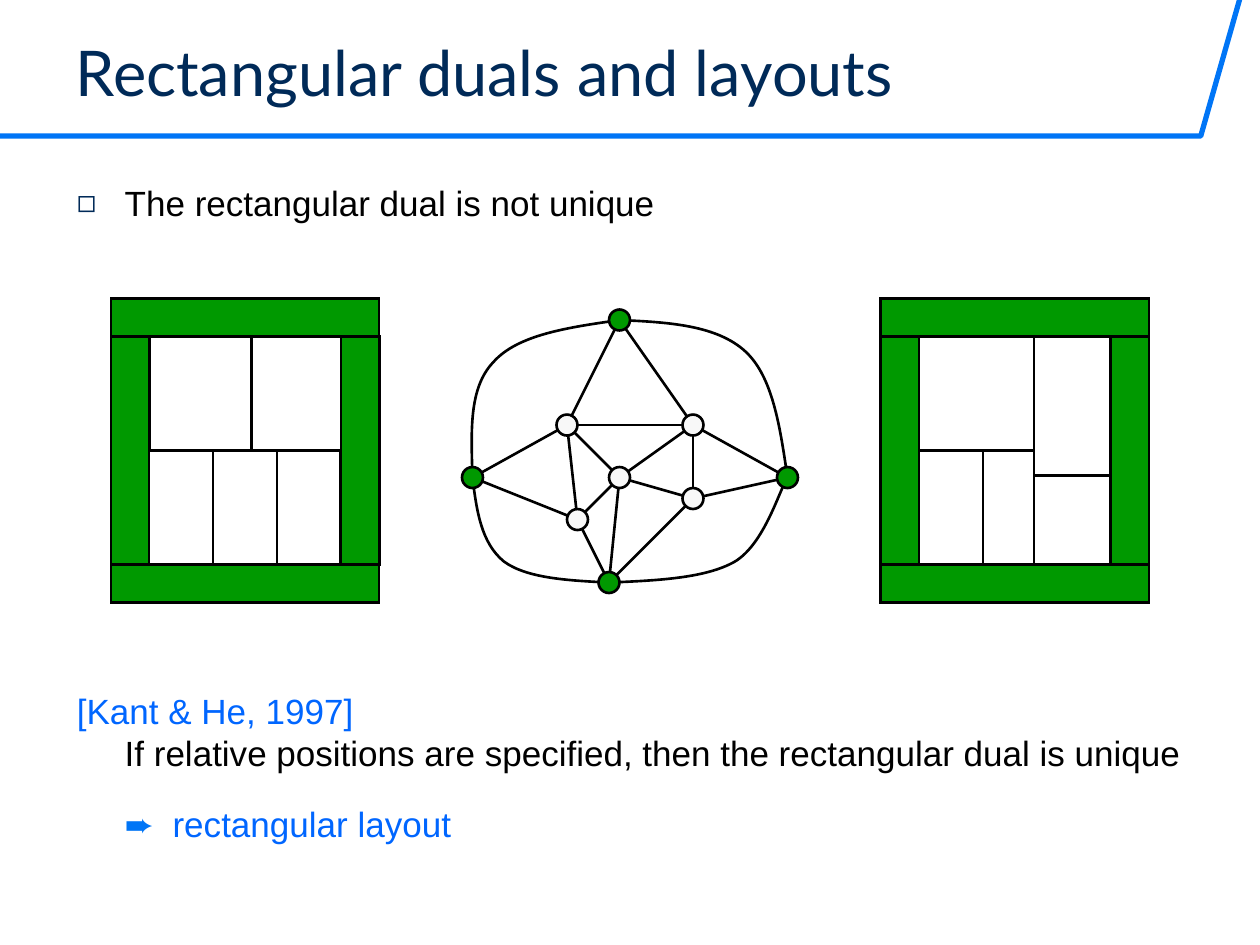
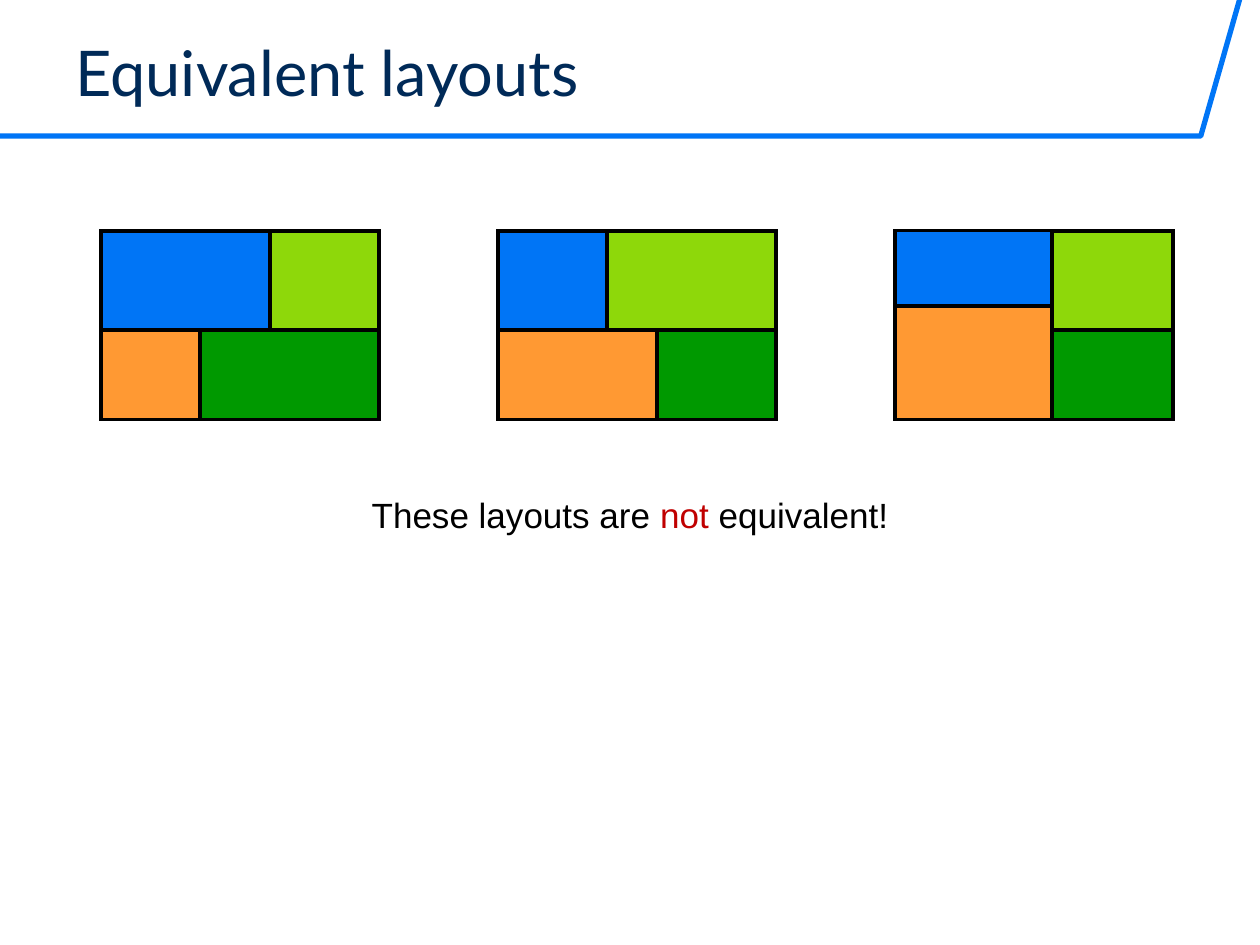
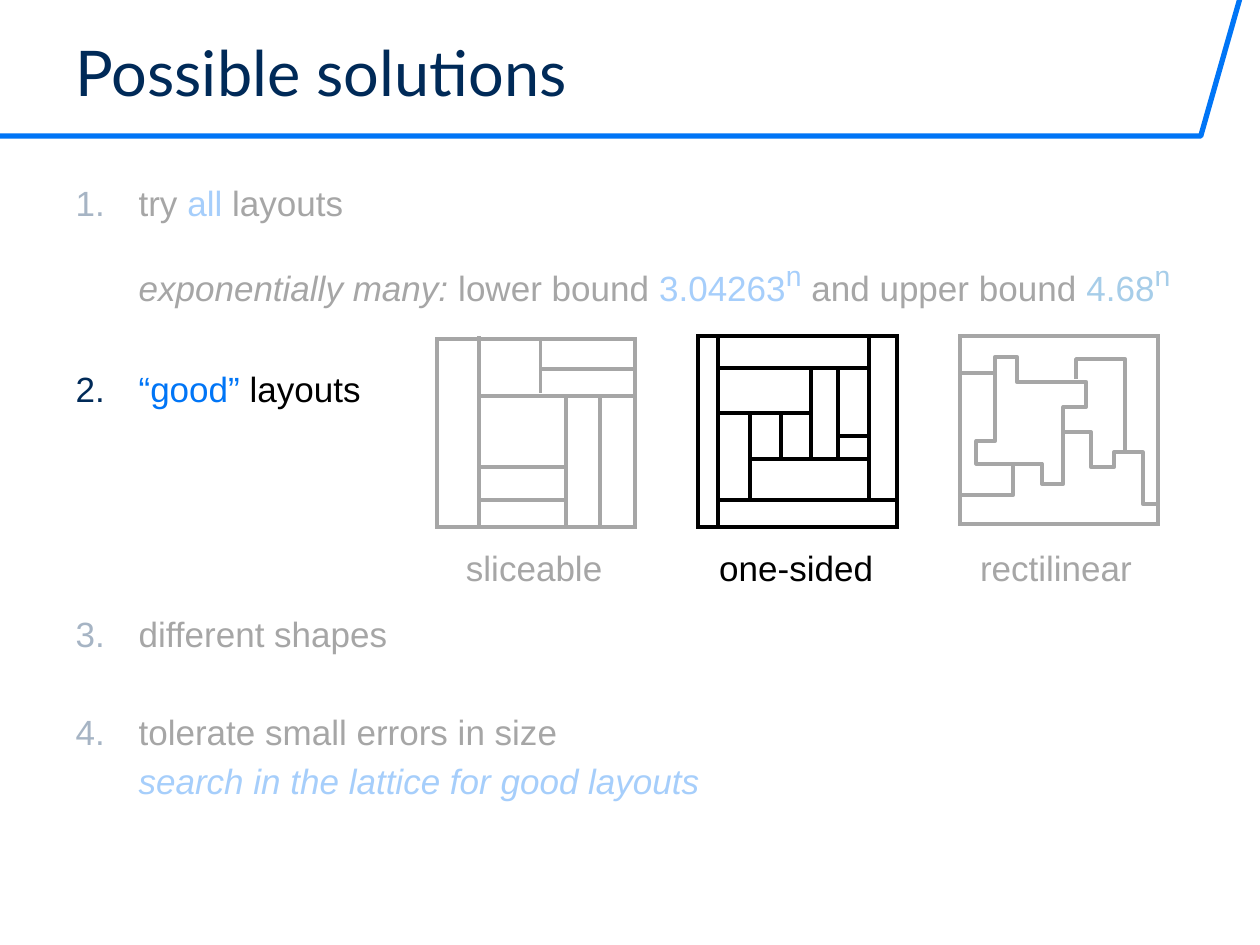
import pptx
import pptx.dml.color
import pptx.enum.shapes
import pptx.enum.text
import pptx.oxml.ns
import pptx.util
from lxml import etree

Inches = pptx.util.Inches
Pt = pptx.util.Pt
qn = pptx.oxml.ns.qn
SHAPE = pptx.enum.shapes.MSO_SHAPE

COLORS = {
    "navy": "002A58", "blue": "0075F6", "link": "0066FF", "sea": "0070C0",
    "black": "000000", "white": "FFFFFF", "pale": "F8F8F8", "red": "C00000",
    "green": "009900", "lime": "8ED80A", "orange": "FF9933",
}
TITLE_FONT, BODY_FONT = "Lato", "Arial"


def rgb(color):
    """Return the named colour."""
    return pptx.dml.color.RGBColor.from_string(COLORS[color])


def style_line(item, color, width):
    """Set colour and width of an outline."""
    item.line.color.rgb = rgb(color)
    item.line.width = Pt(width)


def add_box(shapes, box, fill=None, width=2.25, kind=SHAPE.RECTANGLE,
            line="black", opacity=None):
    """Draw a sharp-cornered preset shape in a box given in inches."""
    shape = shapes.add_shape(kind, *map(Inches, box))
    shape.shadow.inherit = False
    if fill:
        shape.fill.solid()
        shape.fill.fore_color.rgb = rgb(fill)
    else:
        shape.fill.background()
    if opacity:
        tint = shape.element.spPr.find(qn("a:solidFill") + "/" + qn("a:srgbClr"))
        etree.SubElement(tint, qn("a:alpha")).set("val", str(opacity * 1000))
    style_line(shape, line, width)
    outline = shape.element.spPr.find(qn("a:ln"))
    etree.SubElement(outline, qn("a:miter")).set("lim", "800000")
    return shape


def add_segment(shapes, start, end, width=2.25):
    """Draw a straight black line between two points in inches."""
    segment = shapes.add_connector(pptx.enum.shapes.MSO_CONNECTOR.STRAIGHT,
                                   *map(Inches, (*start, *end)))
    style_line(segment, "black", width)
    etree.SubElement(segment.element.spPr, qn("a:effectLst"))


def add_outline(shapes, points, width=2.25, color="black", close=False):
    """Draw an unfilled outline through points in inches."""
    places = [(Inches(x), Inches(y)) for x, y in points]
    builder = shapes.build_freeform(*places[0])
    builder.add_line_segments(places[1:], close=close)
    outline = builder.convert_to_shape()
    outline.shadow.inherit = False
    outline.fill.background()
    style_line(outline, color, width)
    return outline


def add_curve(shapes, points, width):
    """Draw cubic curves: a start, then two controls and an end for each."""
    curve = add_outline(shapes, points, width)
    steps = list(curve.element.iter(qn("a:lnTo")))
    for first in range(0, len(steps), 3):
        cubic = etree.Element(qn("a:cubicBezTo"))
        steps[first].addprevious(cubic)
        for step in steps[first:first + 3]:
            cubic.append(step[0])
            step.getparent().remove(step)


def offset(points, left, top, unit=1):
    """Scale points and move them to a corner."""
    return [(left + x * unit, top + y * unit) for x, y in points]


def add_run(paragraph, text, color="black", size=20, font=BODY_FONT,
            italic=False, raised=False):
    """Add one formatted run, or a line break of the same size."""
    if text == "\n":
        paragraph.add_line_break()
        etree.SubElement(paragraph._p[-1], qn("a:rPr")).set("sz", str(size * 100))
        return
    run = paragraph.add_run()
    run.text = text
    run.font.size = Pt(size)
    run.font.name = font
    run.font.italic = italic
    run.font.color.rgb = rgb(color)
    if raised:
        run.font._element.set("baseline", "30000")


def add_paragraph(frame, runs, before=0, margin=0, hang=0, bullet=None, start=None):
    """Add a paragraph with its indent, its bullet or number, and its runs."""
    first = frame.paragraphs[0]
    paragraph = frame.add_paragraph() if first.runs else first
    properties = paragraph._p.get_or_add_pPr()
    properties.set("marL", str(Inches(margin)))
    properties.set("indent", str(-Inches(hang)))
    if bullet or start:
        tint = etree.SubElement(properties, qn("a:buClr"))
        etree.SubElement(tint, qn("a:srgbClr")).set("val", COLORS["navy"])
    if bullet:
        etree.SubElement(properties, qn("a:buSzPct")).set("val", "90000")
        etree.SubElement(properties, qn("a:buChar")).set("char", bullet)
    elif start:
        number = etree.SubElement(properties, qn("a:buAutoNum"))
        number.set("type", "arabicPeriod")
        number.set("startAt", str(start))
    else:
        etree.SubElement(properties, qn("a:buNone"))
    paragraph.space_before = Pt(before)
    for text, *look in runs:
        options = look.pop() if look and isinstance(look[-1], dict) else {}
        add_run(paragraph, text, *look, **options)
    return paragraph


def place(item, box):
    """Move an item to a box given in inches."""
    item.left, item.top, item.width, item.height = map(Inches, box)


def add_title_slide(deck, layout, title, body_box):
    """Add a slide with its title and return it with its body text frame."""
    slide = deck.slides.add_slide(layout)
    heading, body = slide.shapes.title, slide.placeholders[1]
    place(heading, (0.5, 0.21, 9.28, 0.71))
    heading.text_frame.vertical_anchor = pptx.enum.text.MSO_ANCHOR.BOTTOM
    heading.text_frame.paragraphs[0].alignment = pptx.enum.text.PP_ALIGN.LEFT
    add_run(heading.text_frame.paragraphs[0], title, "navy", 36, TITLE_FONT)
    place(body, body_box)
    for frame in (heading.text_frame, body.text_frame):
        frame.word_wrap = True
        frame.auto_size = pptx.enum.text.MSO_AUTO_SIZE.NONE
    return slide, body.text_frame


def add_band(layout, slide):
    """Put the blue title band on the layout, behind its placeholders."""
    band = add_outline(slide.shapes, [(0, 1.08), (9.53, 1.08), (9.84, -0.01)], 3, "blue")
    layout.shapes.element.insert(2, band.element)


def add_tiling(slide, box, columns, rows, tiles, width):
    """Fill a box with a group of tiles (x, y, width, height, fill) on a grid."""
    left, top, across, down = box
    step_x, step_y = across / columns, down / rows
    shapes = slide.shapes.add_group_shape().shapes
    for x, y, w, h, fill in tiles:
        tile = (left + x * step_x, top + y * step_y, w * step_x, h * step_y)
        add_box(shapes, tile, fill, width)


def add_framed_dual(slide, left, top, rooms):
    """Draw a rectangular dual: white rooms inside a green frame."""
    frame = [(0, 0, 21, 3), (0, 3, 3, 18), (18, 3, 3, 18), (0, 21, 21, 3)]
    tiles = [(x + 3, y + 3, w, h, "white") for x, y, w, h in rooms]
    tiles += [(*side, "green") for side in frame]
    add_tiling(slide, (left, top, 2.13, 2.41), 21, 24, tiles, 1.5)


def add_graph(slide, left, top):
    """Draw the dual graph on a grid of twelfths of an inch."""
    unit = 1 / 12
    outer = {"north": (14, 0), "east": (30, 15), "south": (13, 25), "west": (0, 15)}
    inner = {"a": (9, 10), "b": (21, 10), "c": (14, 15), "d": (21, 17), "e": (10, 19)}
    nodes = {**outer, **inner}
    edges = ("south-e south-c a-west west-e a-north north-b d-south d-east east-b "
             "c-e e-a c-a b-a b-c c-d d-b")
    arcs = [
        [(13, 25), (17.6, 24.8), (22.2, 24.6), (25, 23), (27.8, 21.3), (29.2, 16.3), (30, 15)],
        [(30, 15), (29.3, 10.2), (28.6, 5.4), (26, 3), (23.3, 0.5), (18.7, 0.2), (14, 0)],
        [(14, 0), (9.1, 0.7), (4.3, 1.4), (2, 4), (-0.4, 6.5), (-0.1, 10.7), (0, 15)],
        [(0, 15), (0.4, 18.1), (0.8, 21.2), (3, 23), (5.2, 24.6), (9.1, 24.8), (13, 25)],
    ]
    shapes = slide.shapes.add_group_shape().shapes
    for edge in edges.split():
        ends = [nodes[name] for name in edge.split("-")]
        add_segment(shapes, *offset(ends, left, top, unit), 1.5)
    for arc in arcs:
        add_curve(shapes, offset(arc, left, top, unit), 1.5)
    for name, (x, y) in nodes.items():
        dot = (left + (x - 1) * unit, top + (y - 1) * unit, 2 * unit, 2 * unit)
        add_box(shapes, dot, "green" if name in outer else "pale", 1.5, SHAPE.OVAL)


def add_label(shapes, text, left, width):
    """Write the name under a layout drawing."""
    label = shapes.add_textbox(*map(Inches, (left, 4.29, width, 0.44)))
    label.text_frame.word_wrap = True
    add_run(label.text_frame.paragraphs[0], text)


def add_sliceable(slide, left, top):
    """Draw the sliceable layout."""
    cuts = [
        [(0.33, -0.02), (0.33, 1.49)], [(0.33, 0.45), (1.58, 0.45)],
        [(1.02, 0.45), (1.02, 1.49)], [(0.33, 1.02), (1.02, 1.02)],
        [(1.29, 0.45), (1.29, 1.49)], [(0.82, 0), (0.82, 0.43)],
        [(0.82, 0.24), (1.58, 0.24)], [(0.33, 1.28), (1.02, 1.28)],
    ]
    shapes = slide.shapes.add_group_shape().shapes
    add_box(shapes, (left, top, 1.57, 1.49))
    for cut in cuts:
        add_segment(shapes, *offset(cut, left, top))
    add_label(shapes, "sliceable", left + 0.13, 1.33)


def add_one_sided(slide, left, top):
    """Draw the one-sided layout."""
    rooms = [
        (0, 0, 1.58, 1.51), (0, 0, 0.16, 1.51), (0.16, 1.3, 1.42, 0.21),
        (0.16, 0, 1.2, 0.25), (1.36, 0, 0.22, 1.3), (0.41, 0.97, 0.95, 0.33),
        (0.41, 0.61, 0.49, 0.36), (0.16, 0.61, 0.25, 0.69), (0.16, 0.25, 0.74, 0.36),
        (0.41, 0.61, 0.25, 0.36), (0.9, 0.25, 0.21, 0.72), (1.11, 0.25, 0.25, 0.54),
    ]
    shapes = slide.shapes.add_group_shape().shapes
    for x, y, width, height in rooms:
        add_box(shapes, (left + x, top + y, width, height))
    add_label(shapes, "one-sided", left + 0.07, 1.43)


def add_rectilinear(slide, left, top):
    """Draw the rectilinear layout."""
    core = [(0.28, 0.83), (0.28, 0.16), (0.45, 0.16), (0.45, 0.36), (1, 0.36), (1, 0.56),
            (0.82, 0.56), (0.82, 1.17), (0.65, 1.17), (0.65, 1.01), (0.13, 1.01), (0.13, 0.83)]
    walls = [
        [(0.42, 1), (0.42, 1.26), (0, 1.26)],
        [(0.92, 0.34), (0.92, 0.18), (1.31, 0.18), (1.31, 0.91)],
        [(0.82, 0.76), (1.04, 0.76), (1.04, 1.04), (1.22, 1.04), (1.22, 0.92),
         (1.45, 0.92), (1.45, 1.33), (1.57, 1.33)],
    ]
    shapes = slide.shapes.add_group_shape().shapes
    add_box(shapes, (left, top, 1.57, 1.49))
    add_outline(shapes, offset(core, left, top), close=True)
    add_segment(shapes, *offset([(0, 0.29), (0.29, 0.29)], left, top))
    for wall in walls:
        add_outline(shapes, offset(wall, left, top))
    add_label(shapes, "rectilinear", left + 0.06, 1.43)


def build_duals(deck, layout):
    """Build the slide on duals and return it."""
    slide, body = add_title_slide(deck, layout, "Rectangular duals and layouts",
                                  (0.51, 1.39, 8.98, 5.51))
    add_paragraph(body, [("The rectangular dual is not unique",)],
                  margin=0.38, hang=0.38, bullet="◻")
    add_paragraph(body, [("[Kant & He, 1997]", "link"), ("\n",),
                         ("If relative positions are specified, "
                          "then the rectangular dual is unique",)],
                  before=266, margin=0.38, hang=0.38)
    add_paragraph(body, [("➨", "blue"), ("\trectangular layout", "link")],
                  before=17, margin=0.76, hang=0.38)
    add_framed_dual(slide, 0.88, 2.37, [(0, 9, 5, 9), (5, 9, 5, 9), (10, 9, 5, 9),
                                        (8, 0, 7, 9), (0, 0, 8, 9)])
    add_framed_dual(slide, 6.99, 2.37, [(0, 9, 5, 9), (5, 9, 4, 9), (9, 11, 6, 7),
                                        (9, 0, 6, 11), (0, 0, 9, 9)])
    add_graph(slide, 3.75, 2.54)
    return slide


def build_equivalent(deck, layout):
    """Build the slide that compares three layouts."""
    slide, body = add_title_slide(deck, layout, "Equivalent layouts", (0.51, 3.87, 8.98, 2.87))
    verdict = add_paragraph(body, [("These layouts are ",), ("not", "red"), (" equivalent!",)])
    verdict.alignment = pptx.enum.text.PP_ALIGN.CENTER
    splits = [(17, 10, 10, 10), (11, 16, 10, 10), (15.8, 15.8, 7.6, 10)]
    for index, (upper, lower, west, east) in enumerate(splits):
        tiles = [
            (0, 0, 28, 19, None),
            (0, 0, upper, west, "blue"), (upper, 0, 28 - upper, east, "lime"),
            (0, west, lower, 19 - west, "orange"),
            (lower, east, 28 - lower, 19 - east, "green"),
        ]
        add_tiling(slide, (0.8 + 3.15 * index, 1.83, 2.21, 1.5), 28, 19, tiles, 2.25)


def build_solutions(deck, layout):
    """Build the slide that lists solutions and veils all but one."""
    slide, body = add_title_slide(deck, layout, "Possible solutions", (0.5, 1.39, 8.92, 5.51))
    raised = {"size": 28, "raised": True}
    italic = {"italic": True}
    items = [
        (0, 1, [("try ",), ("all", "blue"), (" layouts",)]),
        (16.5, None, [("exponentially many:", italic), (" lower bound ",), ("3.04263", "blue"),
                      ("n", "blue", raised), (" and upper bound ",), ("4.68", "sea"),
                      ("n", "sea", raised)]),
        (32, 2, [("“good” ", "blue"), ("layouts",)]),
        (116, 3, [("different shapes",)]),
        (32, 3, [("tolerate small errors in size",)]),
        (4.4, None, [("search in the lattice for good layouts", "blue", italic)]),
    ]
    for before, start, runs in items:
        add_paragraph(body, runs, before, 0.5, 0.5 if start else 0, start=start)
    add_sliceable(slide, 3.47, 2.69)
    add_rectilinear(slide, 7.62, 2.67)
    add_one_sided(slide, 5.54, 2.67)
    veils = [(0.28, 4.72, 9.45, 1.98), (0.16, 1.37, 9.45, 1.13),
             (3.26, 2.62, 1.89, 2.1), (7.35, 2.55, 1.89, 2.1)]
    for veil in veils:
        add_box(slide.shapes, veil, "white", line="white", opacity=65)


def main():
    """Build and save the presentation."""
    deck = pptx.Presentation()
    deck.slide_width, deck.slide_height = Inches(10), Inches(7.5)
    layout = deck.slide_layouts[1]
    add_band(layout, build_duals(deck, layout))
    build_equivalent(deck, layout)
    build_solutions(deck, layout)
    deck.save("out.pptx")


if __name__ == "__main__":
    main()
